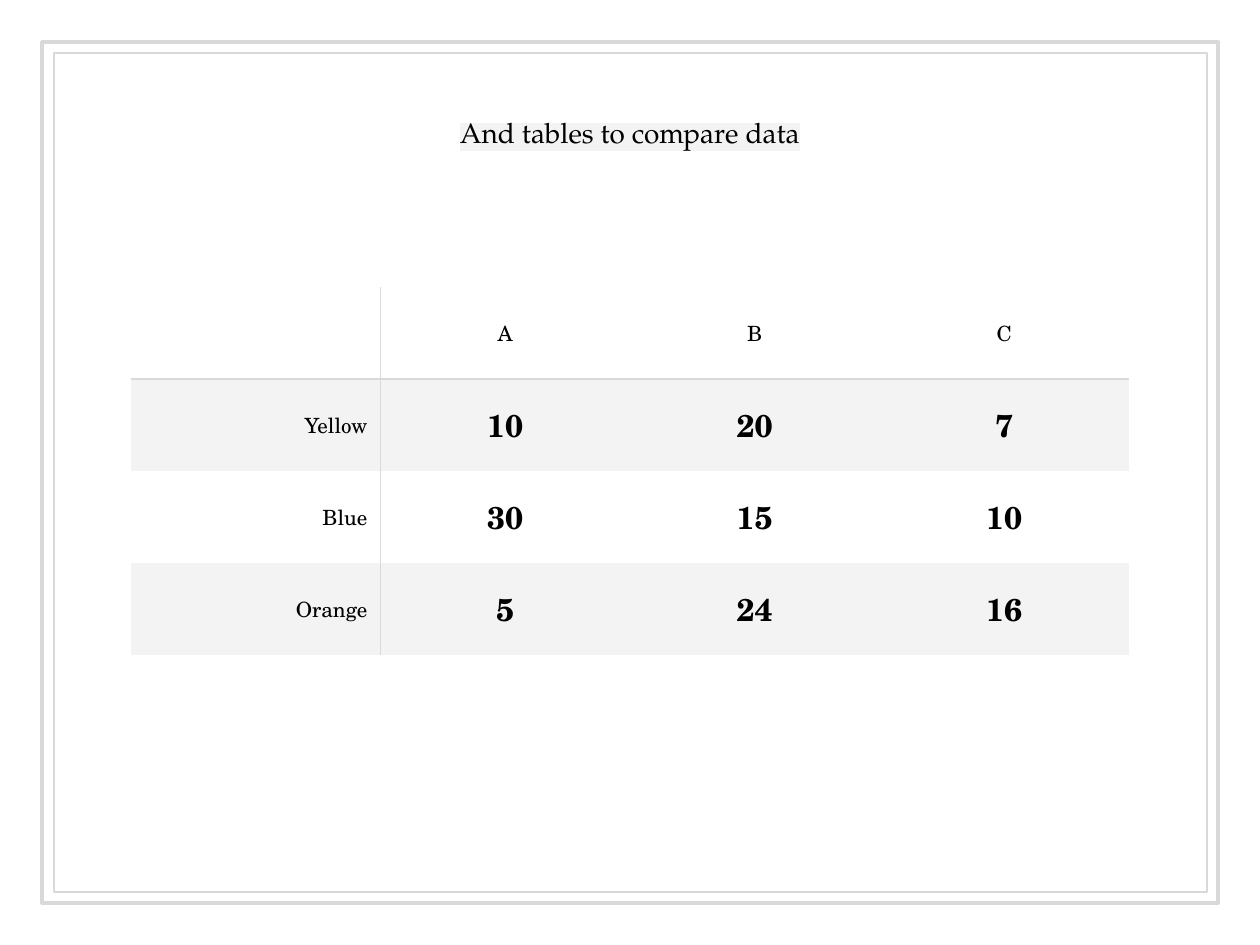
from lxml import etree
from pptx import Presentation
from pptx.dml.color import RGBColor
from pptx.enum.shapes import MSO_SHAPE
from pptx.enum.text import MSO_ANCHOR, PP_ALIGN
from pptx.oxml.ns import qn
from pptx.util import Pt

RECTANGLE = MSO_SHAPE.RECTANGLE
MIDDLE = MSO_ANCHOR.MIDDLE
CENTER, RIGHT = PP_ALIGN.CENTER, PP_ALIGN.RIGHT

BLACK = RGBColor(0x00, 0x00, 0x00)
WHITE = RGBColor(0xFF, 0xFF, 0xFF)
LIGHT_GRAY = RGBColor(0xF3, 0xF3, 0xF3)
LINE_GRAY = RGBColor(0xD9, 0xD9, 0xD9)

TITLE_FONT = "TeX Gyre Pagella"
TABLE_FONT = "TeX Gyre Schola"
PX_PER_INCH = 126


def px(count):
    return round(count * 914400 / PX_PER_INCH)


def write(frame, text, font, size, align, bold=False):
    """Put one formatted run in a text frame and return the run."""
    para = frame.paragraphs[0]
    para.alignment = align
    span = para.add_run()
    span.text = text
    span.font.size = Pt(size)
    span.font.bold = bold
    span.font.color.rgb = BLACK
    span.font.name = font
    return span


deck = Presentation()
deck.slide_width, deck.slide_height = px(1260), px(945)
page = deck.slides.add_slide(deck.slide_layouts[5])

# Double frame around the page
for left, top, width, height, weight in [
    (54, 53, 1153, 839, 0.75),
    (42, 42, 1176, 861, 2.25),
]:
    border = page.shapes.add_shape(RECTANGLE, px(left), px(top), px(width), px(height))
    border.shadow.inherit = False
    border.fill.background()
    border.line.color.rgb = LINE_GRAY
    border.line.width = Pt(weight)

# Title, in front of the frame
title = page.shapes.title
title.element.getparent().append(title.element)
title.left, title.top, title.width, title.height = px(63), px(62), px(1134), px(140)
frame = title.text_frame
frame.word_wrap = True
frame.vertical_anchor = MIDDLE
frame.margin_left = frame.margin_right = frame.margin_top = frame.margin_bottom = px(13)
span = write(frame, "And tables to compare data", TITLE_FONT, 16, CENTER)
highlight = etree.Element(qn("a:highlight"))
etree.SubElement(highlight, qn("a:srgbClr"), val=str(LIGHT_GRAY))
span.font.fill.solid()
span.font.color.rgb = BLACK
span.font._element.find(qn("a:solidFill")).addnext(highlight)

# Table
rows = [
    ["", "A", "B", "C"],
    ["Yellow", "10", "20", "7"],
    ["Blue", "30", "15", "10"],
    ["Orange", "5", "24", "16"],
]
table = page.shapes.add_table(
    len(rows), len(rows[0]), px(131), px(287), px(998), px(368)
).table
table.first_row = False
table.horz_banding = False

for r, row in enumerate(rows):
    for c, text in enumerate(row):
        cell = table.cell(r, c)
        cell.vertical_anchor = MIDDLE
        cell.margin_left = cell.margin_right = px(13)
        cell.margin_top = cell.margin_bottom = px(13)
        if text:
            is_value = r > 0 and c > 0
            align = RIGHT if c == 0 else CENTER
            write(cell.text_frame, text, TABLE_FONT, 18 if is_value else 12, align, is_value)

        # Rules run under the header row and beside the label column
        ruled = {"L": c == 1, "R": c == 0, "T": r == 1, "B": r == 0}
        properties = cell._tc.get_or_add_tcPr()
        for side, visible in ruled.items():
            line = etree.SubElement(properties, qn(f"a:ln{side}"), w=str(Pt(0.75)))
            if visible:
                fill = etree.SubElement(line, qn("a:solidFill"))
                etree.SubElement(fill, qn("a:srgbClr"), val=str(LINE_GRAY))
            else:
                etree.SubElement(line, qn("a:noFill"))

        if r == 0:
            cell.fill.background()
        else:
            cell.fill.solid()
            cell.fill.fore_color.rgb = LIGHT_GRAY if r % 2 else WHITE

deck.save("out.pptx")
